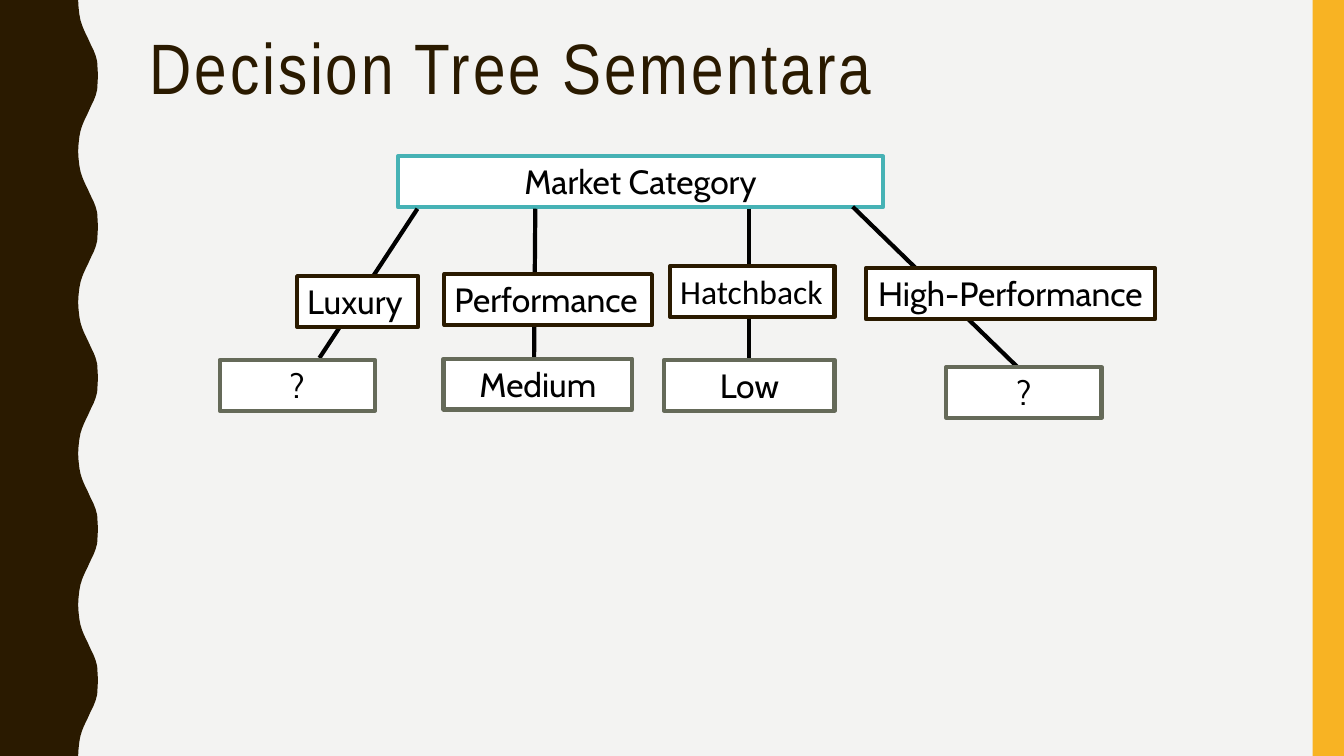
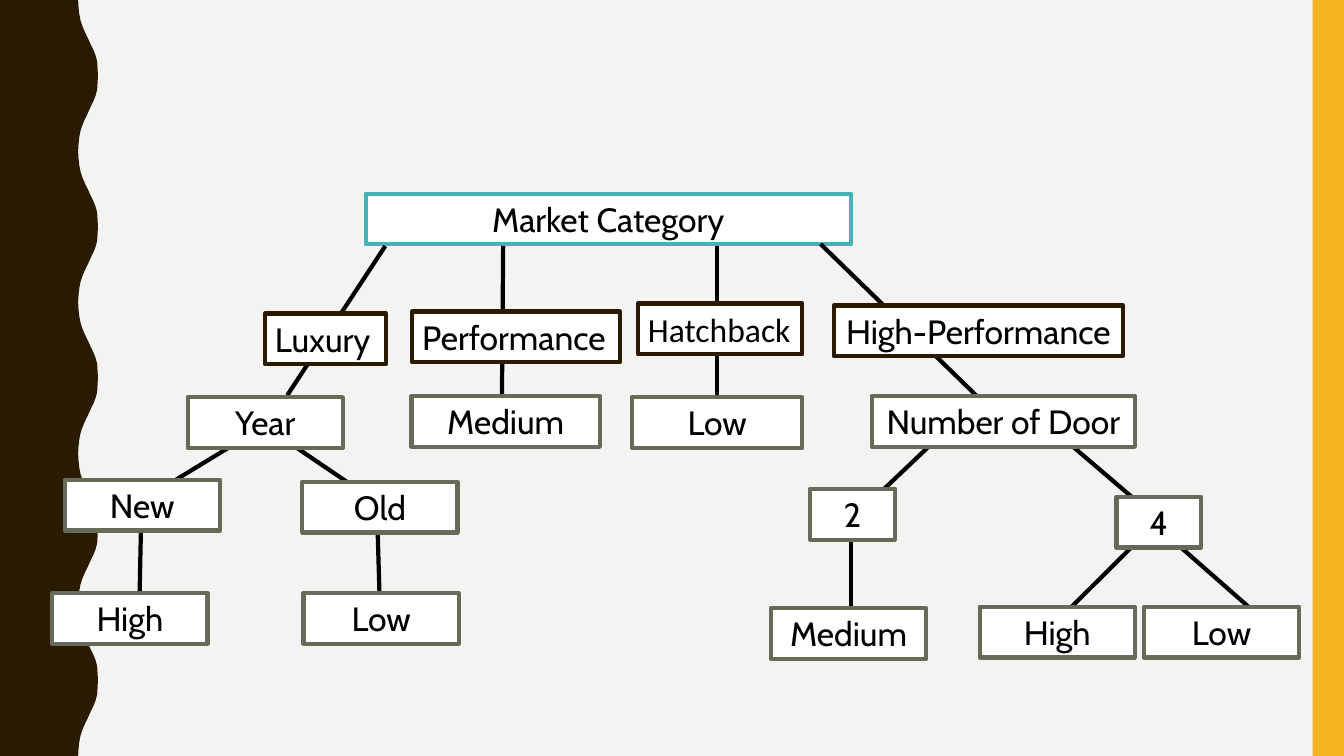
import pptx
import pptx.dml.color
import pptx.enum.shapes
import pptx.enum.text
import pptx.oxml
import pptx.util
from pptx.oxml import ns

Cm = pptx.util.Cm
Pt = pptx.util.Pt
RGBColor = pptx.dml.color.RGBColor
Align = pptx.enum.text.PP_ALIGN

# Colours
BACKGROUND = RGBColor(0xF3, 0xF3, 0xF2)
BROWN = RGBColor(0x2A, 0x1A, 0x00)
YELLOW = RGBColor(0xF8, 0xB3, 0x23)
TEAL = RGBColor(0x46, 0xB2, 0xB5)
OLIVE = RGBColor(0x65, 0x6A, 0x59)
WHITE = RGBColor(0xFF, 0xFF, 0xFF)
BLACK = RGBColor(0x00, 0x00, 0x00)

# Sizes in centimetres
WIDTH, HEIGHT = 33.87, 19.05
BAND_WIDTH = 0.79
BOX_HEIGHT = 1.28
LEAF_WIDTH = 3.91
DOOR_WIDTH = 2.13

# Rising half of one wave; the falling half mirrors it
WAVE_COUNT = 5
WAVE_PERIOD = HEIGHT / WAVE_COUNT
HALF_WAVE = [
    (1.97, 0), (1.98, 0.18), (2, 0.36), (2.03, 0.51), (2.07, 0.64),
    (2.11, 0.74), (2.16, 0.85), (2.21, 0.95), (2.26, 1.06), (2.31, 1.17),
    (2.36, 1.27), (2.41, 1.4), (2.45, 1.55), (2.46, 1.73), (2.47, 1.9),
]

# Category tree: boxes are (text, left, top, width), links are (x1, y1, x2, y2)
ROOT = ("Market Category", 10.03, 3.94, 12.22)
CATEGORIES = [
    ("Luxury", 7.49, 6.96, 3.05),
    ("Performance", 11.2, 6.91, 5.23),
    ("Hatchback", 16.89, 6.71, 4.14),
    ("High-Performance", 21.82, 6.76, 7.29),
]
KNOWN_LEAVES = [("Medium", 11.18, 9.04, 4.75), ("Low", 16.74, 9.07, 4.29)]
CATEGORY_LINKS = [
    (10.52, 5.26, 8.05, 9.02), (13.49, 5.26, 13.46, 8.99),
    (18.87, 5.26, 18.87, 9.45), (21.49, 5.21, 25.93, 9.53),
]

# Leaves and deeper levels of each slide
OPEN_LEAVES = [("?", 5.54, 9.07, LEAF_WIDTH), ("?", 23.85, 9.25, LEAF_WIDTH)]
DEEPER_NODES = [
    ("Year", 4.73, 10.01, LEAF_WIDTH),
    ("Number of Door", 21.97, 9.98, 6.63),
    ("New", 1.63, 12.09, LEAF_WIDTH),
    ("Old", 7.62, 12.14, LEAF_WIDTH),
    ("2", 20.42, 12.32, DOOR_WIDTH),
    ("4", 28.14, 12.52, DOOR_WIDTH),
    ("High", 1.32, 14.94, LEAF_WIDTH),
    ("Low", 7.65, 14.94, LEAF_WIDTH),
    ("Medium", 19.43, 15.32, LEAF_WIDTH),
    ("High", 24.69, 15.29, LEAF_WIDTH),
    ("Low", 28.83, 15.29, LEAF_WIDTH),
]
DEEPER_LINKS = [
    (7.01, 10.52, 3.02, 12.95), (6.35, 10.52, 9.86, 12.9),
    (24.05, 10.64, 22.07, 12.52), (26.26, 10.59, 29.06, 12.98),
    (3.56, 12.95, 3.51, 15.34), (9.5, 12.8, 9.6, 16.23),
    (21.44, 13.11, 21.44, 15.9), (29.13, 13.18, 26.39, 15.9),
    (29.06, 13.18, 32.16, 15.9),
]


class Deck:
    """Holds the shared style and the slide being built."""

    def __init__(self):
        self.presentation = pptx.Presentation()
        self.presentation.slide_width = Cm(WIDTH)
        self.presentation.slide_height = Cm(HEIGHT)
        fill = self.presentation.slide_master.background.fill
        fill.solid()
        fill.fore_color.rgb = BACKGROUND
        self.slide = None

    def new_slide(self):
        layout = self.presentation.slide_layouts[6]
        self.slide = self.presentation.slides.add_slide(layout)
        self.wave()
        self.rectangle(WIDTH - BAND_WIDTH, 0, BAND_WIDTH, HEIGHT, YELLOW)

    def paint(self, shape, fill, line=None):
        shape.shadow.inherit = False
        shape.fill.solid()
        shape.fill.fore_color.rgb = fill
        if line is None:
            shape.line.fill.background()
        else:
            shape.line.color.rgb = line
            shape.line.width = Pt(3)

    def wave(self):
        one_wave = HALF_WAVE + [(x, WAVE_PERIOD - y) for x, y in HALF_WAVE[-2:0:-1]]
        edge = [(Cm(x), Cm(number * WAVE_PERIOD + y))
                for number in range(WAVE_COUNT) for x, y in one_wave]
        bottom = [(Cm(HALF_WAVE[0][0]), Cm(HEIGHT)), (0, Cm(HEIGHT))]
        builder = self.slide.shapes.build_freeform(0, 0)
        builder.add_line_segments(edge + bottom, close=True)
        self.paint(builder.convert_to_shape(), BROWN)

    def rectangle(self, left, top, width, height, fill, line=None):
        shape = self.slide.shapes.add_shape(
            pptx.enum.shapes.MSO_SHAPE.RECTANGLE,
            Cm(left), Cm(top), Cm(width), Cm(height))
        self.paint(shape, fill, line)
        return shape

    def set_text(self, paragraph, text, font, size, color):
        paragraph.text = text
        run = paragraph.runs[0]
        run.font.name = font
        run.font.size = Pt(size)
        run.font.color.rgb = color
        return run

    def title(self, text):
        box = self.slide.shapes.add_textbox(Cm(3.53), Cm(0.71), Cm(28.27), Cm(3.05))
        box.text_frame.word_wrap = True
        paragraph = box.text_frame.paragraphs[0]
        paragraph.line_spacing = 0.9
        run = self.set_text(paragraph, text, "Arial Narrow", 51, BROWN)
        run.font._element.set("spc", "200")

    def node(self, text, left, top, width, line, align=Align.CENTER,
             wrap=True, font="Cabin"):
        shape = self.rectangle(left, top, width, BOX_HEIGHT, WHITE, line)
        frame = shape.text_frame
        frame.word_wrap = wrap
        frame.auto_size = pptx.enum.text.MSO_AUTO_SIZE.SHAPE_TO_FIT_TEXT
        frame.vertical_anchor = pptx.enum.text.MSO_ANCHOR.TOP
        paragraph = frame.paragraphs[0]
        paragraph.alignment = align
        self.set_text(paragraph, text, font, 24, BLACK)

    def link(self, x1, y1, x2, y2):
        connector = self.slide.shapes.add_connector(
            pptx.enum.shapes.MSO_CONNECTOR.STRAIGHT, Cm(x1), Cm(y1), Cm(x2), Cm(y2))
        connector.line.color.rgb = BLACK
        connector.line.width = Pt(3)
        properties = connector._element.spPr
        properties.append(pptx.oxml.parse_xml("<a:effectLst %s/>" % ns.nsdecls("a")))

    def tree(self, nodes, links=(), right=0, down=0):
        """Draw the category tree, moved by right and down, and what hangs below."""
        def moved(box):
            text, left, top, width = box
            return text, left + right, top + down, width

        self.node(*moved(ROOT), TEAL)
        for x1, y1, x2, y2 in CATEGORY_LINKS:
            self.link(x1 + right, y1 + down, x2 + right, y2 + down)
        for ends in links:
            self.link(*ends)
        for box in CATEGORIES:
            name = box[0]
            self.node(*moved(box), BROWN,
                      align=Align.CENTER if name == "High-Performance" else Align.LEFT,
                      wrap=name == "Performance",
                      font="Calibri" if name == "Hatchback" else "Cabin")
        for box in [moved(leaf) for leaf in KNOWN_LEAVES] + nodes:
            self.node(*box, OLIVE)


def main():
    deck = Deck()

    # Slide 1: first tree, two leaves still open
    deck.new_slide()
    deck.title("Decision Tree Sementara")
    deck.tree(OPEN_LEAVES)

    # Slide 2: full tree
    deck.new_slide()
    deck.tree(DEEPER_NODES, DEEPER_LINKS, right=-0.81, down=0.94)

    deck.presentation.save("out.pptx")


if __name__ == "__main__":
    main()
